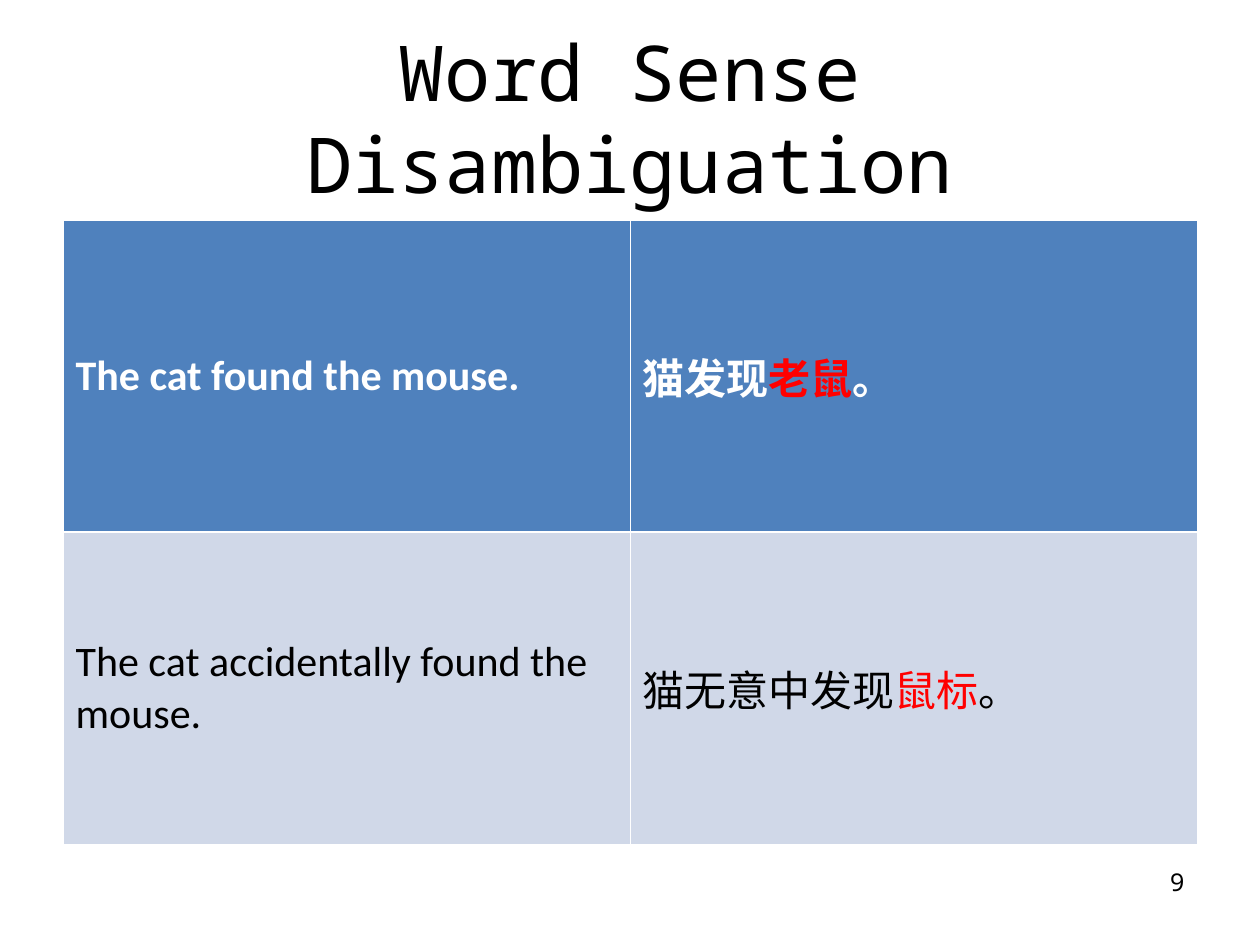
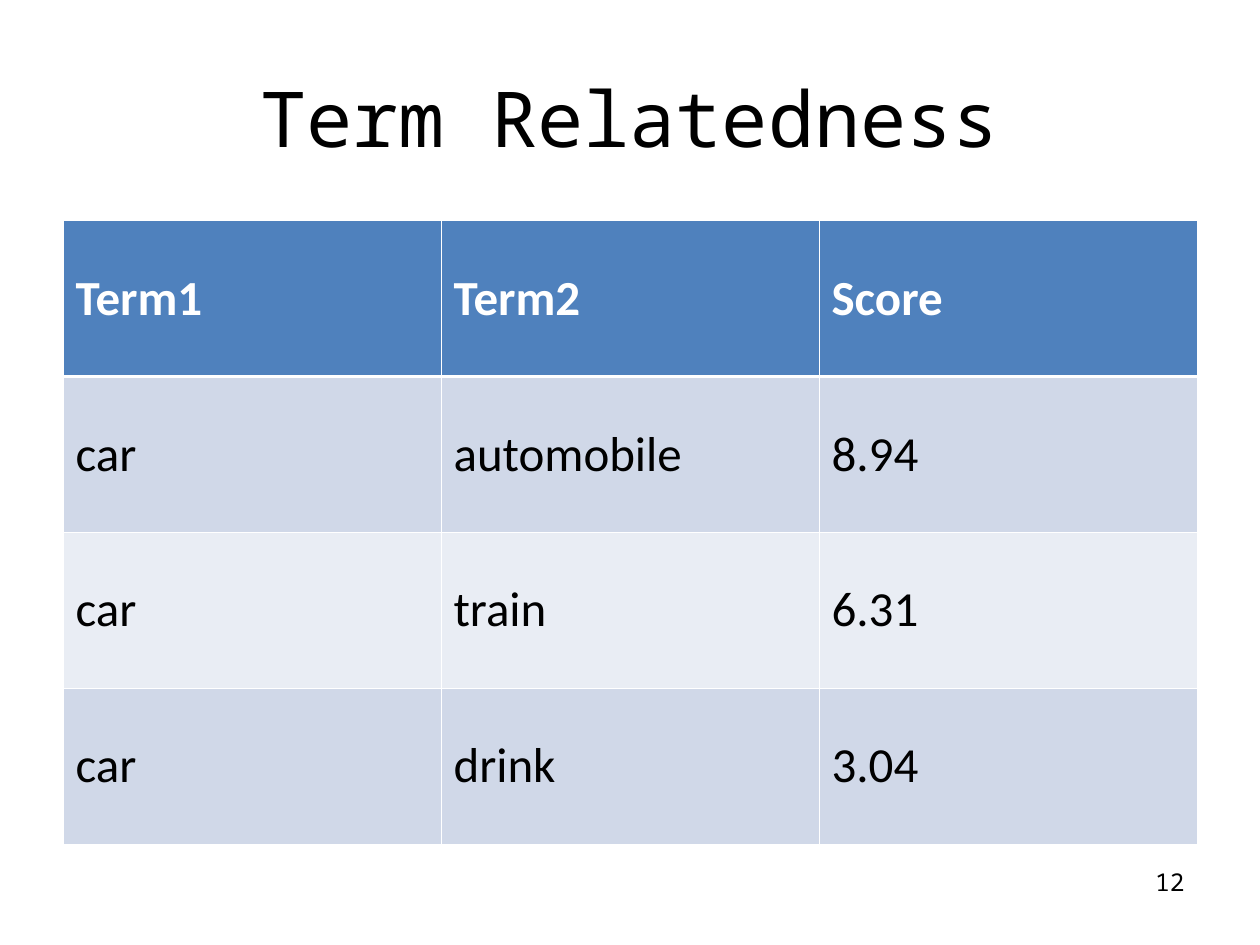
from dataclasses import dataclass
from lxml import etree
from pptx import Presentation
from pptx import util as u
from pptx.dml.color import RGBColor
from pptx.enum import text as t
from pptx.oxml import ns


@dataclass
class Theme:
    mono: str = "Noto Sans Mono"
    body: str = "Calibri"
    black: str = "000000"
    white: str = "FFFFFF"
    red: str = "FF0000"
    head: str = "4F81BD"
    bands: tuple = ("D0D8E8", "E9EDF4")
    title: int = 44
    foot: int = 14
    thin: float = 0.45
    thick: float = 1.47


look = Theme()


def write(frame, runs, *, size, font, color=look.black, bold=False,
          align=t.PP_ALIGN.LEFT, anchor=t.MSO_ANCHOR.MIDDLE):
    frame.word_wrap = True
    frame.vertical_anchor = anchor
    para = frame.paragraphs[0]
    para.alignment = align
    para.space_before = u.Pt(0)
    for words, tint in runs:
        run = para.add_run()
        run.text = words
        run.font.size = u.Pt(size)
        run.font.name = font
        run.font.bold = bold
        run.font.color.rgb = RGBColor.from_string(tint or color)


def edge(cell, side, width):
    props = cell._tc.get_or_add_tcPr()
    line = etree.SubElement(props, ns.qn(f"a:ln{side}"), w=str(u.Pt(width)))
    fill = etree.SubElement(line, ns.qn("a:solidFill"))
    etree.SubElement(fill, ns.qn("a:srgbClr"), val=look.white)


pages = [
    ("Word Sense Disambiguation", "9", 24, [
        ["The cat found the mouse.",
         [("猫发现", None), ("老鼠", look.red), ("。", None)]],
        ["The cat accidentally found the mouse.",
         [("猫无意中发现", None), ("鼠标", look.red), ("。", None)]],
    ]),
    ("Term Relatedness", "12", 28, [
        ["Term1", "Term2", "Score"],
        ["car", "automobile", "8.94"],
        ["car", "train", "6.31"],
        ["car", "drink", "3.04"],
    ]),
]

deck = Presentation()
deck.slide_width, deck.slide_height = u.Pt(720), u.Pt(540)
left, wide, top, tall = 36, 648, 126, 356.4

for name, number, size, rows in pages:
    slide = deck.slides.add_slide(deck.slide_layouts[5])

    title = slide.shapes.title
    title.left, title.top = u.Pt(left), u.Pt(21.6)
    title.width, title.height = u.Pt(wide), u.Pt(90)
    title.text_frame.auto_size = t.MSO_AUTO_SIZE.NONE
    write(title.text_frame, [(name, None)], size=look.title, font=look.mono,
          align=t.PP_ALIGN.CENTER)

    count = len(rows[0])
    grid = slide.shapes.add_table(len(rows), count, u.Pt(left), u.Pt(top),
                                  u.Pt(wide), u.Pt(tall)).table
    for col in grid.columns:
        col.width = u.Pt(wide / count)
    for r, row in enumerate(rows):
        grid.rows[r].height = u.Pt(tall / len(rows))
        for c, entry in enumerate(row):
            cell = grid.cell(r, c)
            heavy = {0: "B", 1: "T"}.get(r)
            for side in "LRTB":
                edge(cell, side, look.thick if side == heavy else look.thin)
            cell.fill.solid()
            shade = look.bands[(r - 1) % 2] if r else look.head
            cell.fill.fore_color.rgb = RGBColor.from_string(shade)
            cell.vertical_anchor = t.MSO_ANCHOR.MIDDLE
            runs = [(entry, None)] if isinstance(entry, str) else entry
            write(cell.text_frame, runs, size=size, font=look.body,
                  color=look.black if r else look.white, bold=r == 0)

    foot = slide.shapes.add_textbox(u.Pt(516), u.Pt(492), u.Pt(168), u.Pt(37.5))
    write(foot.text_frame, [(number, None)], size=look.foot, font=look.mono,
          align=t.PP_ALIGN.RIGHT, anchor=t.MSO_ANCHOR.TOP)

deck.save("out.pptx")
